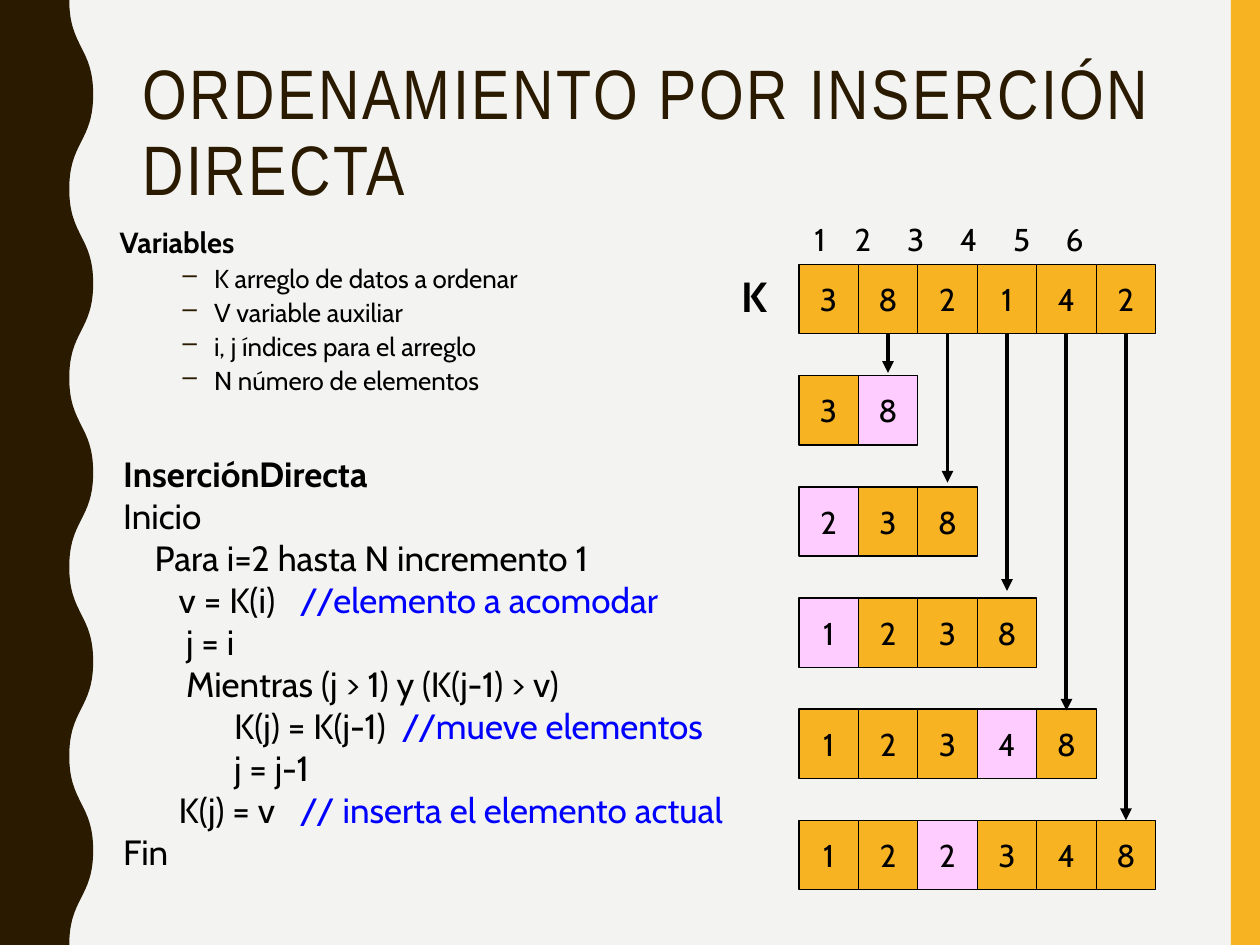
"""Builds the slide on direct insertion sort."""
from lxml import etree
from pptx import Presentation
from pptx.dml.color import RGBColor
from pptx.enum.shapes import MSO_CONNECTOR, MSO_SHAPE
from pptx.enum.text import MSO_ANCHOR, PP_ALIGN
from pptx.oxml.ns import qn
from pptx.util import Inches, Pt

RECTANGLE = MSO_SHAPE.RECTANGLE
STRAIGHT = MSO_CONNECTOR.STRAIGHT
MIDDLE = MSO_ANCHOR.MIDDLE
CENTER = PP_ALIGN.CENTER
BROWN, AMBER, PINK = "2A1A00", "F8B323", "FFCCFF"
BLACK, BLUE, PAPER = "000000", "0000FF", "F3F3F2"


def paint(fill, color):
    fill.solid()
    fill.fore_color.rgb = RGBColor.from_string(color)


def style(run, size, color=BLACK, bold=False, font="Cabin"):
    run.font.name, run.font.size, run.font.bold = font, Pt(size), bold
    paint(run.font.fill, color)


deck = Presentation()
deck.slide_width, deck.slide_height = Inches(10), Inches(7.5)
slide = deck.slides.add_slide(deck.slide_layouts[6])
paint(slide.background.fill, PAPER)

side_band = slide.shapes.add_shape(RECTANGLE, Inches(9.77), 0, Inches(0.23), Inches(7.5))
half_wave = 0.75
turns = [(Inches(0.74 if turn % 2 else 0.55), Inches(turn * half_wave)) for turn in range(11)]
outline = slide.shapes.build_freeform(0, 0)
outline.add_line_segments(turns + [(0, Inches(7.5))])
wave = outline.convert_to_shape()
edges = list(wave._element.iter(qn("a:lnTo")))[1:11]
for edge, (start_x, start_y), (end_x, end_y) in zip(edges, turns, turns[1:]):
    middle_y = (start_y + end_y) // 2
    curve = etree.Element(qn("a:cubicBezTo"))
    for x, y in ((start_x, middle_y), (end_x, middle_y), (end_x, end_y)):
        etree.SubElement(curve, qn("a:pt"), x=str(x), y=str(y))
    edge.getparent().replace(edge, curve)
for decoration, color in ((side_band, AMBER), (wave, BROWN)):
    decoration.shadow.inherit = False
    paint(decoration.fill, color)
    decoration.line.fill.background()

title = slide.shapes.add_textbox(Inches(1.03), Inches(0.42), Inches(8.35), Inches(1.63)).text_frame
title.word_wrap = True
title.text = "ORDENAMIENTO POR INSERCIÓN DIRECTA"
title.paragraphs[0].line_spacing = 0.9
title_run = title.paragraphs[0].runs[0]
style(title_run, 40, BROWN, font="Arial Narrow")
title_run.font._element.set("spc", "150")

variables = slide.shapes.add_textbox(Inches(0.85), Inches(1.81), Inches(5.68), Inches(1.45)).text_frame
variables.word_wrap = True
variables.text = "\n".join([
    "Variables",
    "K arreglo de datos a ordenar",
    "V variable auxiliar",
    "i, j índices para el arreglo",
    "N número de elementos",
])
for position, paragraph in enumerate(variables.paragraphs):
    paragraph.line_spacing, paragraph.space_before = 0.7, Pt(7)
    properties = paragraph._p.get_or_add_pPr()
    properties.set("indent", str(Inches(-0.25)))
    if position == 0:
        properties.set("marL", str(Inches(0.25)))
        style(paragraph.runs[0], 16.6, bold=True)
        continue
    paragraph.level = 1
    properties.set("marL", str(Inches(0.75)))
    bullet_color = etree.SubElement(properties, qn("a:buClr"))
    etree.SubElement(bullet_color, qn("a:srgbClr"), val=BROWN)
    etree.SubElement(properties, qn("a:buChar"), char="–")
    style(paragraph.runs[0], 14.8)

algorithm = [
    (0, "InserciónDirecta", "", 0),
    (0, "Inicio", "", 0),
    (0.25, "Para i=2 hasta N incremento 1", "", 0.25),
    (0.44, "v = K(i)", "//elemento a acomodar", 1.4),
    (0.5, "j = i", "", 0.5),
    (0.5, "Mientras (j > 1) y (K(j-1) > v)", "", 0.5),
    (0.88, "K(j) = K(j-1)", "//mueve elementos", 2.21),
    (0.88, "j = j-1", "", 0.88),
    (0.44, "K(j) = v", "// inserta el elemento actual", 1.4),
    (0, "Fin", "", 0),
]
pseudocode = slide.shapes.add_textbox(Inches(0.88), Inches(3.54), Inches(5.43), Inches(3.43)).text_frame
pseudocode.word_wrap = True
for position, (start, code, comment, column) in enumerate(algorithm):
    paragraph = pseudocode.paragraphs[0] if position == 0 else pseudocode.add_paragraph()
    paragraph.text = code + "\t" if comment else code
    style(paragraph.runs[0], 20, bold=position == 0)
    if comment:
        comment_run = paragraph.add_run()
        comment_run.text = comment
        style(comment_run, 20, BLUE)
    properties = paragraph._p.get_or_add_pPr()
    properties.set("marL", str(Inches(column)))
    properties.set("indent", str(Inches(start - column)))

left, top, cell_width, cell_height = 6.34, 2.1, 2.36 / 5, 0.55
row_pitch = 4.41 / 5
passes = [
    ("382142", None, None),
    ("38", 1, 2.96),
    ("238", 0, 3.83),
    ("1238", 0, 4.69),
    ("12348", 3, 5.64),
    ("122348", 2, 6.51),
]
pass_groups = [slide.shapes.add_group_shape() for _ in passes]
for row, (values, inserted, arrow_end) in enumerate(passes):
    members = pass_groups[row].shapes
    for column, value in enumerate(values):
        cell = members.add_shape(
            RECTANGLE, Inches(left + column * cell_width), Inches(top + row * row_pitch),
            Inches(cell_width), Inches(cell_height))
        cell.shadow.inherit = False
        paint(cell.fill, PINK if column == inserted else AMBER)
        paint(cell.line.fill, BLACK)
        cell.line.width = Pt(0.75)
        cell.text_frame.word_wrap = False
        cell.text_frame.vertical_anchor = MIDDLE
        cell.text_frame.text = value
        cell.text_frame.paragraphs[0].alignment = CENTER
        style(cell.text_frame.paragraphs[0].runs[0], 18)
    if arrow_end:
        arrow_x = Inches(left + (row + 0.5) * cell_width)
        arrow = members.add_connector(
            STRAIGHT, arrow_x, Inches(top + cell_height), arrow_x, Inches(arrow_end))
        paint(arrow.line.fill, BLACK)
        arrow.line.width = Pt(2.25)
        etree.SubElement(arrow.line._get_or_add_ln(), qn("a:tailEnd"), type="triangle")
        etree.SubElement(arrow._element.spPr, qn("a:effectLst"))

array_members = pass_groups[0].shapes
indices = array_members.add_textbox(Inches(6.26), Inches(1.7), Inches(2.84), Inches(0.4)).text_frame
indices.word_wrap = True
indices.text = "\t1\t2\t3\t4\t5\t6"
style(indices.paragraphs[0].runs[0], 18)
tab_list = etree.SubElement(indices.paragraphs[0]._p.get_or_add_pPr(), qn("a:tabLst"))
for stop in [0.15] + [0.49 + 0.42 * step for step in range(5)]:
    etree.SubElement(tab_list, qn("a:tab"), pos=str(Inches(stop)), algn="ctr")

array_name = array_members.add_textbox(Inches(5.79), Inches(2.1), Inches(0.44), Inches(0.5)).text_frame
array_name.word_wrap = False
array_name.text = "K"
style(array_name.paragraphs[0].runs[0], 24, bold=True)

deck.save("out.pptx")
